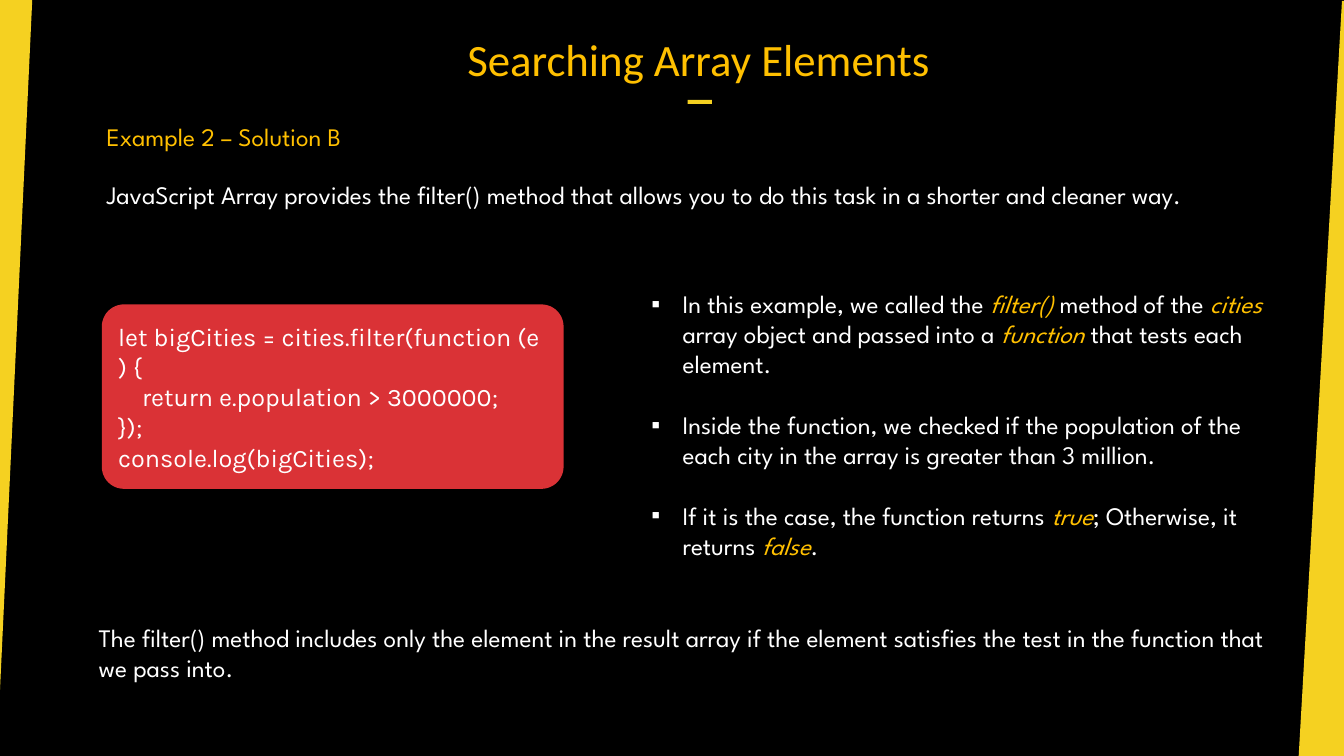
from lxml import etree
from pptx import Presentation
from pptx.dml.color import RGBColor
from pptx.enum.shapes import MSO_SHAPE
from pptx.enum.text import MSO_ANCHOR, MSO_AUTO_SIZE, PP_ALIGN
from pptx.oxml.ns import qn
from pptx.util import Pt

RECTANGLE, ROUNDED = MSO_SHAPE.RECTANGLE, MSO_SHAPE.ROUNDED_RECTANGLE
MIDDLE, BOTTOM = MSO_ANCHOR.MIDDLE, MSO_ANCHOR.BOTTOM
LEFT, CENTER = PP_ALIGN.LEFT, PP_ALIGN.CENTER
NO_AUTOFIT = MSO_AUTO_SIZE.NONE

PX = 9144
THEME = {
    "background": RGBColor(0x00, 0x00, 0x00),
    "edge": RGBColor(0xF5, 0xD1, 0x21),
    "accent": RGBColor(0xFF, 0xC0, 0x00),
    "text": RGBColor(0xFF, 0xFF, 0xFF),
    "code": RGBColor(0xDA, 0x32, 0x36),
    "title_font": "Calibri",
    "body_font": "League Spartan",
    "code_font": "Karla",
    "title_size": Pt(32),
    "body_size": Pt(18),
    "bullet_gap": Pt(21.6),
}


def paint(shape, color):
    shape.shadow.inherit = False
    shape.fill.solid()
    shape.fill.fore_color.rgb = THEME[color]
    shape.line.fill.background()


def style(run, color="text", family="body_font", size="body_size"):
    run.font.name = THEME[family]
    run.font.size = THEME[size]
    run.font.color.rgb = THEME[color]


deck = Presentation()
deck.slide_width, deck.slide_height = 1333 * PX, 750 * PX
slide = deck.slides.add_slide(deck.slide_layouts[1])
slide.background.fill.solid()
slide.background.fill.fore_color.rgb = THEME["background"]

edges = [
    [(-3, 750), (-5, 750), (-5, 0), (32, 0)],
    [(1331, 1), (1333, 1), (1333, 751), (1288, 751)],
]
for corners in edges:
    outline = slide.shapes.build_freeform(*corners[0], scale=PX)
    outline.add_line_segments(corners[1:], close=True)
    paint(outline.convert_to_shape(), "edge")

title_dash = slide.shapes.add_shape(RECTANGLE, 682 * PX, 99 * PX, 24 * PX, 4 * PX)
paint(title_dash, "edge")

title = slide.shapes.title
title.left, title.top, title.width, title.height = 344 * PX, 10 * PX, 698 * PX, 75 * PX
title.text_frame.text = "Searching Array Elements"
title.text_frame.vertical_anchor = BOTTOM
title.text_frame.margin_top, title.text_frame.margin_bottom = 4 * PX, 0
title.text_frame.paragraphs[0].alignment = CENTER
style(title.text_frame.paragraphs[0].runs[0], "accent", "title_font", "title_size")

statements = [
    (96, 173, 1179, 40, "text",
     "JavaScript Array provides the filter() method that allows you to do this task "
     "in a shorter and cleaner way."),
    (96, 115, 519, 40, "accent", "Example 2 – Solution B"),
    (88, 612, 1194, 71, "text",
     "The filter() method includes only the element in the result array if the element "
     "satisfies the test in the function that we pass into."),
]
for left, top, width, height, color, wording in statements:
    statement = slide.shapes.add_textbox(left * PX, top * PX, width * PX, height * PX)
    statement.text_frame.word_wrap = True
    statement.text_frame.text = wording
    style(statement.text_frame.paragraphs[0].runs[0], color)

code = """let bigCities = cities.filter(function (e) {
    return e.population > 3000000;
});
console.log(bigCities);"""
code_panel = slide.shapes.add_shape(ROUNDED, 101 * PX, 302 * PX, 458 * PX, 183 * PX)
code_panel.adjustments[0] = 0.12
paint(code_panel, "code")
code_panel.text_frame.text = code.replace(" ", chr(160))
code_panel.text_frame.word_wrap = True
code_panel.text_frame.vertical_anchor = MIDDLE
for code_line in code_panel.text_frame.paragraphs:
    code_line.alignment = LEFT
    style(code_line.runs[0], family="code_font")

explanations = [
    "In this example, we called the |filter() |method of the |cities| array object "
    "and passed into a |function| that tests each element.",
    "Inside the function, we checked if the population of the each city in the array "
    "is greater than 3 million.",
    "If it is the case, the function returns |true|; Otherwise, it returns |false|.",
]
explanation = slide.placeholders[1]
explanation.left, explanation.top = 636 * PX, 281 * PX
explanation.width, explanation.height = 631 * PX, 313 * PX
explanation.text_frame.auto_size = NO_AUTOFIT
for number, wording in enumerate(explanations):
    if number:
        point = explanation.text_frame.add_paragraph()
    else:
        point = explanation.text_frame.paragraphs[0]
    properties = point._p.get_or_add_pPr()
    properties.set("marL", str(31 * PX))
    properties.set("indent", str(-31 * PX))
    etree.SubElement(properties, qn("a:buChar")).set("char", "▪")
    point.space_before = THEME["bullet_gap"] if number else Pt(0)
    for position, phrase in enumerate(wording.split("|")):
        keyword = position % 2 == 1
        run = point.add_run()
        run.text = phrase
        run.font.italic = keyword
        style(run, "accent" if keyword else "text")

deck.save("out.pptx")
